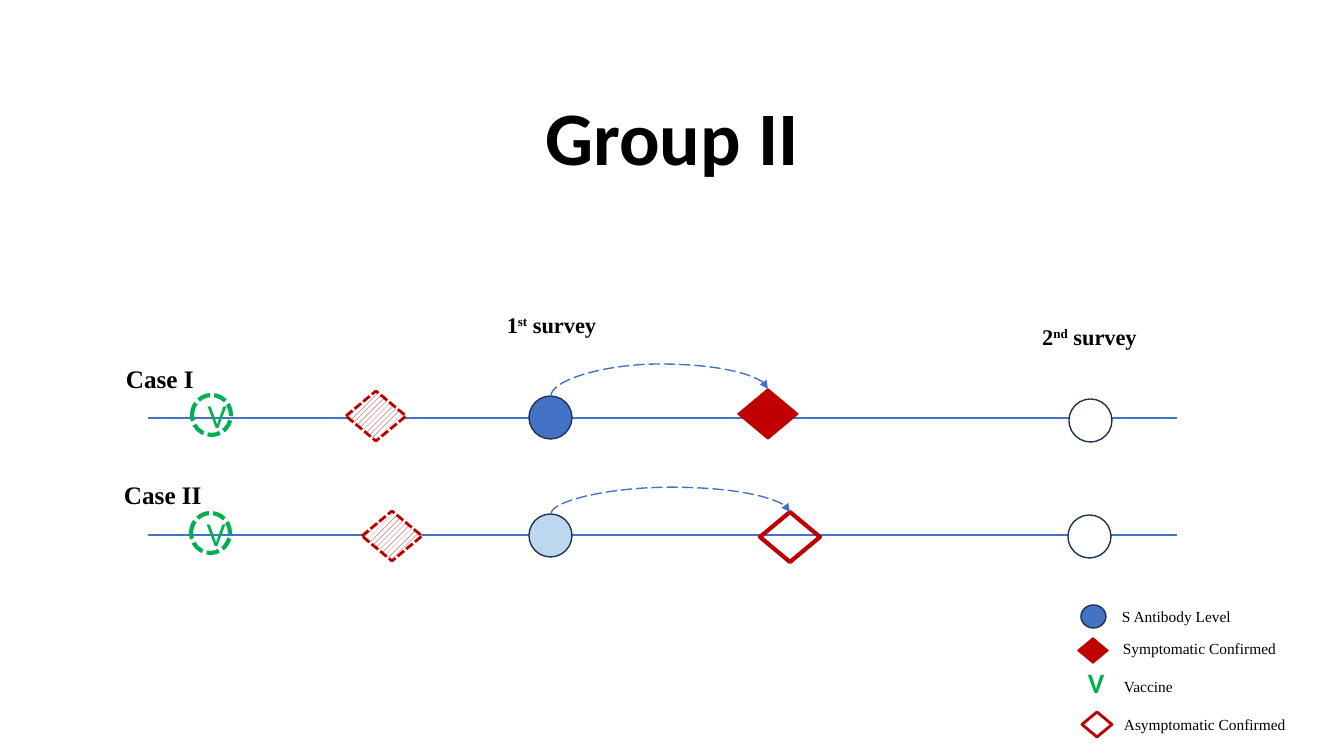
from lxml.etree import SubElement
from pptx import Presentation
from pptx.dml.color import RGBColor
from pptx.enum.dml import MSO_LINE, MSO_PATTERN
from pptx.enum.shapes import MSO_CONNECTOR, MSO_SHAPE
from pptx.enum.text import MSO_AUTO_SIZE, PP_ALIGN
from pptx.oxml.ns import qn
from pptx.util import Pt

PX = 914400 / 100.8
BLACK, WHITE, RED, GREEN = "000000", "FFFFFF", "C00000", "00B050"
BLUE, PALE_BLUE, NAVY = "4472C4", "BDD7EE", "1E3256"
SERIF, SANS = "Times New Roman", "Calibri"


def px(*lengths):
    """Turn pixel lengths into EMU."""
    return [round(n * PX) for n in lengths]


def rgb(color):
    """Turn a hex string into a colour."""
    return RGBColor.from_string(color)


def set_font(p, name, size, color, bold=False):
    """Set the font of a whole paragraph."""
    p.font.name, p.font.size, p.font.bold = name, Pt(size), bold
    p.font.color.rgb = rgb(color)


def add_text(slide, box, runs, size, name=SERIF, color=BLACK, bold=False,
             align=PP_ALIGN.LEFT, grow=True):
    """Add a text box; every second run is superscript."""
    tf = slide.shapes.add_textbox(*px(*box)).text_frame
    tf.word_wrap = True
    tf.auto_size = MSO_AUTO_SIZE.SHAPE_TO_FIT_TEXT if grow else MSO_AUTO_SIZE.NONE
    p = tf.paragraphs[0]
    p.alignment = align
    set_font(p, name, size, color, bold)
    for i, text in enumerate(runs):
        r = p.add_run()
        r.text = text
        if i % 2:
            r.font._element.set("baseline", "30000")
    return p


def add_marker(slide, kind, box, fill, line, width=1, dash=None):
    """Add an outlined circle or diamond."""
    s = slide.shapes.add_shape(kind, *px(*box))
    s.shadow.inherit = False
    if fill:
        s.fill.solid()
        s.fill.fore_color.rgb = rgb(fill)
    else:
        s.fill.background()
    s.line.color.rgb = rgb(line)
    s.line.width = Pt(width)
    if dash:
        s.line.dash_style = dash
    return s


def add_circle(slide, x, y, fill):
    """Add a survey circle."""
    add_marker(slide, MSO_SHAPE.OVAL, (x, y, 43, 43), fill, NAVY)


def add_hatched_diamond(slide, x, y):
    """Add a dashed diamond with a diagonal pattern."""
    s = add_marker(slide, MSO_SHAPE.DIAMOND, (x, y, 60, 50), None, RED, 2,
                   MSO_LINE.SQUARE_DOT)
    s.fill.patterned()
    s.fill.pattern = MSO_PATTERN.WIDE_UPWARD_DIAGONAL
    s.fill.fore_color.rgb = rgb(RED)
    s.fill.back_color.rgb = rgb(WHITE)


def add_vaccine(slide, x, y):
    """Add a dashed circle holding a V."""
    s = add_marker(slide, MSO_SHAPE.OVAL, (x, y, 39, 40), None, GREEN, 3,
                   MSO_LINE.SQUARE_DOT)
    p = s.text_frame.paragraphs[0]
    p.text, p.alignment = "V", PP_ALIGN.CENTER
    set_font(p, SANS, 24, GREEN)


def add_line(slide, kind, start, end, width):
    """Add a blue connector without a shadow."""
    s = slide.shapes.add_connector(kind, *px(*start, *end))
    s.line.color.rgb = rgb(BLUE)
    s.line.width = Pt(width)
    SubElement(s._element.spPr, qn("a:effectLst"))
    return s


def add_arc(slide, start, end, top):
    """Add a dashed arrow that rises to top and falls to end."""
    s = add_line(slide, MSO_CONNECTOR.CURVE, start, end, 1)
    s.line.dash_style = MSO_LINE.LONG_DASH
    (x1, y1), (x2, y2) = start, end
    w, h = y1 - y2, x2 - x1
    s.left, s.top, s.width, s.height = px(
        (x1 + x2 - w) / 2, (y1 + y2 - h) / 2, w, h)
    xfrm = s._element.spPr.find(qn("a:xfrm"))
    for key, value in (("rot", "5400000"), ("flipH", "1"), ("flipV", "1")):
        xfrm.set(key, value)
    guides = s._element.spPr.find(qn("a:prstGeom")).find(qn("a:avLst"))
    rise = round((y1 - top) / w * 100000)
    SubElement(guides, qn("a:gd"), name="adj1", fmla=f"val {rise}")
    SubElement(s.line._get_or_add_ln(), qn("a:tailEnd"), type="triangle")


def add_case(slide, name, label, axis, vaccine, hatched, first, second, confirmed, top):
    """Add one case timeline with its label, markers and arc."""
    x, y, fill = first
    cx, cy, c_fill, c_width = confirmed
    add_line(slide, MSO_CONNECTOR.STRAIGHT, (148, axis), (1177, axis), 1.5)
    add_marker(slide, MSO_SHAPE.DIAMOND, (cx, cy, 60, 50), c_fill, RED, c_width)
    add_circle(slide, x, y, fill)
    add_circle(slide, *second, WHITE)
    add_vaccine(slide, *vaccine)
    add_text(slide, (*label, 266, 40), [name], 18, bold=True)
    add_hatched_diamond(slide, *hatched)
    add_arc(slide, (x + 22, y), (cx + 30, cy), top)


def add_legend(slide):
    """Add the legend symbols and their names."""
    add_marker(slide, MSO_SHAPE.OVAL, (1081, 605, 25, 23), BLUE, NAVY)
    add_marker(slide, MSO_SHAPE.DIAMOND, (1078, 638, 30, 25), RED, RED)
    add_text(slide, (1078, 661, 60, 44), ["V"], 20, SANS, GREEN, True)
    add_marker(slide, MSO_SHAPE.DIAMOND, (1082, 712, 30, 25), WHITE, RED, 2)
    for x, y, w, text in (
        (1112, 602, 131, "S Antibody Level"),
        (1113, 634, 185, "Symptomatic Confirmed"),
        (1114, 672, 89, "Vaccine"),
        (1114, 710, 207, "Asymptomatic Confirmed"),
    ):
        add_text(slide, (x, y, w, 29), [text], 11)


def main():
    """Build the slide and save it."""
    prs = Presentation()
    prs.slide_width, prs.slide_height = px(1344, 756)
    slide = prs.slides.add_slide(prs.slide_layouts[6])
    title = add_text(slide, (249, 95, 846, 177), ["Group II"], 54, SANS, bold=True,
                     align=PP_ALIGN.CENTER, grow=False)
    title.line_spacing = 0.9
    for x, y, number, suffix in ((459, 306, "1", "st"), (997, 318, "2", "nd")):
        add_text(slide, (x, y, 185, 37), [number, suffix, " survey"], 16, bold=True,
                 align=PP_ALIGN.CENTER)
    add_case(slide, "Case I", label=(116, 358), axis=418, vaccine=(192, 395),
             hatched=(346, 391), first=(529, 396, BLUE), second=(1069, 399),
             confirmed=(738, 389, RED, 1), top=364)
    add_case(slide, "Case II", label=(114, 474), axis=535, vaccine=(191, 513),
             hatched=(362, 511), first=(529, 514, PALE_BLUE), second=(1068, 515),
             confirmed=(760, 512, None, 3), top=487)
    add_legend(slide)
    prs.save("out.pptx")


if __name__ == "__main__":
    main()
